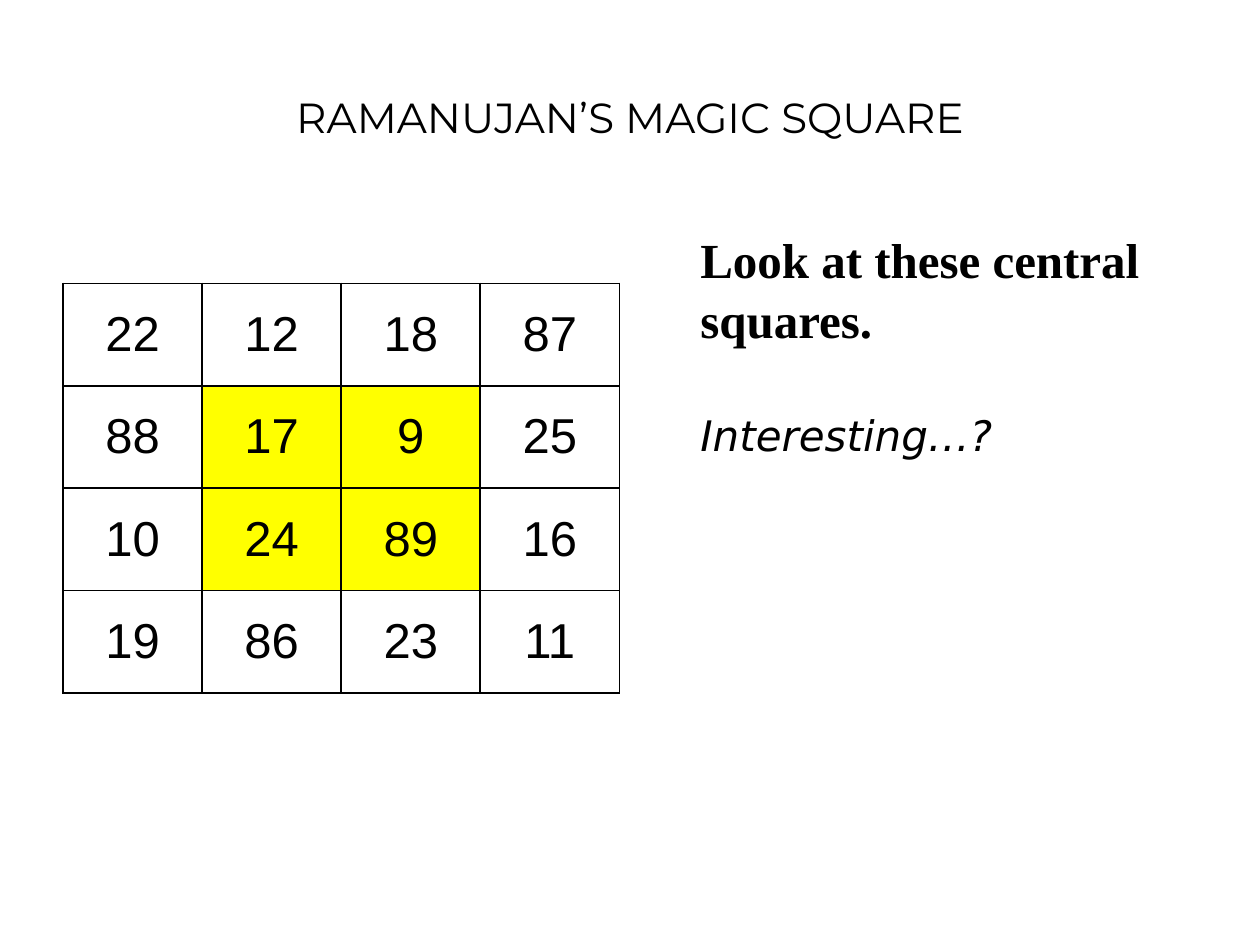
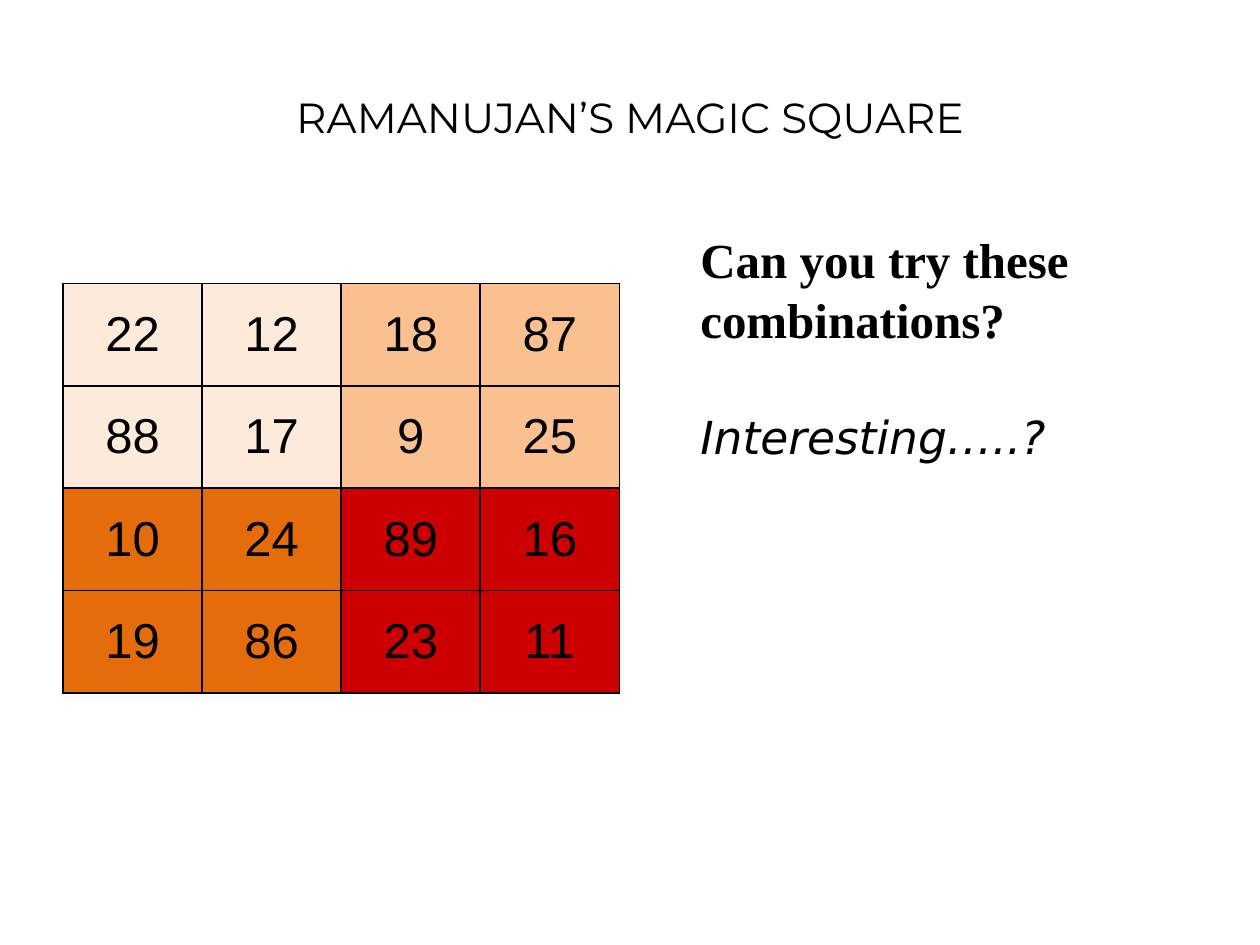
import pptx
import pptx.dml.color
import pptx.enum.text
import pptx.util
from lxml import etree
from pptx.oxml.ns import qn

Pt = pptx.util.Pt
ALIGN = pptx.enum.text.PP_ALIGN
ANCHOR = pptx.enum.text.MSO_ANCHOR

COLOURS = {
    "ink": "000000",
    "centre": "FFFF00",
    "top left": "FDEADA",
    "top right": "FAC090",
    "bottom left": "E46C0A",
    "bottom right": "CC0000",
}
TITLE = "RAMANUJAN’S MAGIC SQUARE"
MAGIC_SQUARE = [
    [22, 12, 18, 87],
    [88, 17, 9, 25],
    [10, 24, 89, 16],
    [19, 86, 23, 11],
]
COLUMN_WIDTH, ROW_HEIGHT = 79.5, 58.5
BORDER_WIDTH = 1.08


def rgb(name):
    return pptx.dml.color.RGBColor.from_string(COLOURS[name])


def set_font(paragraph, name, size, bold=False, italic=False):
    font = paragraph.font
    font.name, font.size = name, Pt(size)
    font.bold, font.italic = bold, italic
    font.color.rgb = rgb("ink")


def add_text_frame(slide, left, top, width, height):
    box = slide.shapes.add_textbox(Pt(left), Pt(top), Pt(width), Pt(height))
    box.text_frame.word_wrap = True
    return box.text_frame


def add_title(slide):
    frame = add_text_frame(slide, 36, 21.6, 648, 90)
    frame.vertical_anchor = ANCHOR.MIDDLE
    paragraph = frame.paragraphs[0]
    paragraph.text = TITLE
    paragraph.alignment = ALIGN.CENTER
    set_font(paragraph, "Montserrat", 24)


def add_prompt(slide, instruction, remark, remark_size):
    frame = add_text_frame(slide, 366, 126, 318, 356.4)
    frame.margin_left = Pt(34.2)
    frame.margin_top = Pt(5)

    paragraph = frame.paragraphs[0]
    paragraph.text = instruction
    paragraph.line_spacing = Pt(34)
    set_font(paragraph, "Times New Roman", 28, bold=True)

    paragraph = frame.add_paragraph()
    paragraph.text = remark
    paragraph.space_before = Pt(35)
    set_font(paragraph, "DejaVu Sans", remark_size, italic=True)


def add_borders(cell):
    """Draw all four sides; call before filling, as the schema puts lines first."""
    properties = cell._tc.get_or_add_tcPr()
    for side in ("a:lnL", "a:lnR", "a:lnT", "a:lnB"):
        line = etree.SubElement(properties, qn(side), w=str(Pt(BORDER_WIDTH)))
        fill = etree.SubElement(line, qn("a:solidFill"))
        etree.SubElement(fill, qn("a:srgbClr"), val=COLOURS["ink"])


def add_magic_square(slide, region_of):
    """region_of(row, column) gives the colour name of a cell, or None."""
    size = len(MAGIC_SQUARE)
    table = slide.shapes.add_table(
        size, size, Pt(36), Pt(162), Pt(size * COLUMN_WIDTH), Pt(size * ROW_HEIGHT)
    ).table
    table.first_row = table.horz_banding = False
    for row, numbers in enumerate(MAGIC_SQUARE):
        for column, number in enumerate(numbers):
            cell = table.cell(row, column)
            cell.vertical_anchor = ANCHOR.MIDDLE
            paragraph = cell.text_frame.paragraphs[0]
            paragraph.text = str(number)
            paragraph.alignment = ALIGN.CENTER
            set_font(paragraph, "Arial", 28)
            add_borders(cell)
            region = region_of(row, column)
            if region:
                cell.fill.solid()
                cell.fill.fore_color.rgb = rgb(region)
            else:
                cell.fill.background()


def central_region(row, column):
    return "centre" if row in (1, 2) and column in (1, 2) else None


def quadrant(row, column):
    vertical = "top" if row < 2 else "bottom"
    horizontal = "left" if column < 2 else "right"
    return f"{vertical} {horizontal}"


def add_square_slide(presentation, region_of, instruction, remark, remark_size):
    slide = presentation.slides.add_slide(presentation.slide_layouts[6])
    add_title(slide)
    add_magic_square(slide, region_of)
    add_prompt(slide, instruction, remark, remark_size)


def main():
    presentation = pptx.Presentation()
    presentation.slide_width, presentation.slide_height = Pt(720), Pt(540)
    add_square_slide(presentation, central_region,
                     "Look at these central squares.", "Interesting…?", 24)
    add_square_slide(presentation, quadrant,
                     "Can you try these combinations?", "Interesting…..?", 26)
    presentation.save("out.pptx")


if __name__ == "__main__":
    main()
